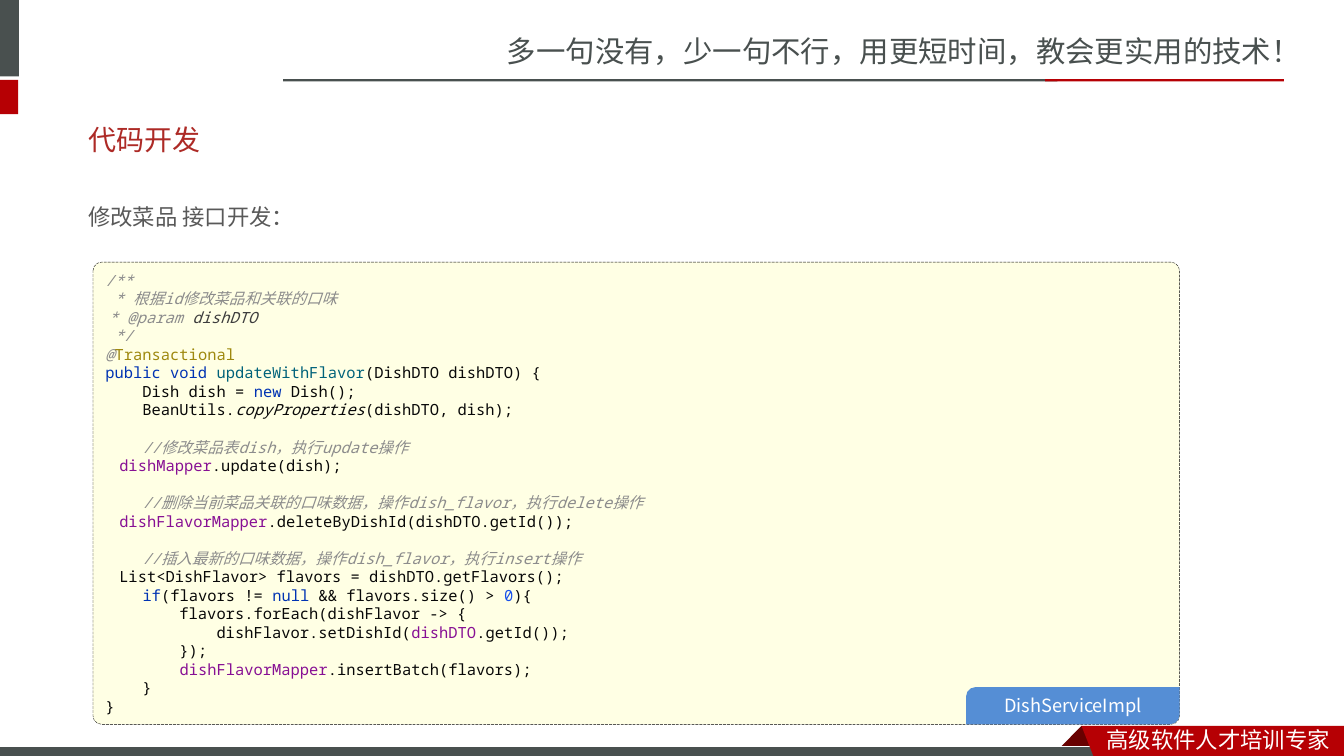
import pptx
import pptx.dml.color
import pptx.enum.dml
import pptx.enum.shapes
import pptx.enum.text
import pptx.oxml
import pptx.oxml.ns
import pptx.util

Pt = pptx.util.Pt
SHAPE = pptx.enum.shapes.MSO_SHAPE
ANCHOR = pptx.enum.text.MSO_ANCHOR
ALIGN = pptx.enum.text.PP_ALIGN

COLORS = {
    "grey": "49504F", "red": "B60004", "dark_red": "680000", "white": "FFFFFF",
    "title": "AD2A26", "body": "595959", "cream": "FFFFE4", "black": "000000",
    "blue": "558ED5", "comment": "8C8C8C", "parameter": "3D3D3D",
    "annotation": "9E880D", "keyword": "0033B3", "method": "00627A",
    "plain": "080808", "field": "871094", "number": "1750EB",
}
SANS_SC = "Noto Sans CJK SC"
SANS_JP = "Noto Sans CJK JP"
MONO = "Noto Sans Mono"

# Code styles: colour, italic, Latin font
STYLES = {
    "comment": ("comment", True, MONO),
    "parameter": ("parameter", True, MONO),
    "annotation": ("annotation", False, MONO),
    "keyword": ("keyword", False, MONO),
    "method": ("method", False, MONO),
    "plain": ("plain", False, MONO),
    "static": ("plain", True, MONO),
    "field": ("field", False, MONO),
    "number": ("number", False, MONO),
    "narrow": ("comment", True, SANS_SC),
}

# Each paragraph is a list of lines, each line a list of (style, text)
DOC_COMMENT = [
    [("comment", "/**")],
    [("comment", " * 根据id修改菜品和关联的口味")],
    [("narrow", " "), ("comment", "* @param "), ("parameter", "dishDTO")],
    [("comment", " */")],
]
METHOD = [
    [("comment", "@"), ("annotation", "Transactional")],
    [("keyword", "public void "), ("method", "updateWithFlavor"),
     ("plain", "(DishDTO dishDTO) {")],
    [("plain", "    Dish dish = "), ("keyword", "new "), ("plain", "Dish();")],
    [("plain", "    BeanUtils."), ("static", "copyProperties"),
     ("plain", "(dishDTO, dish);")],
    [],
    [("plain", "    "), ("comment", "//修改菜品表dish，执行update操作")],
    [("narrow", "    "), ("field", "dishMapper"), ("plain", ".update(dish);")],
    [],
    [("plain", "    "),
     ("comment", "//删除当前菜品关联的口味数据，操作dish_flavor，执行delete操作")],
    [("narrow", "    "), ("field", "dishFlavorMapper"),
     ("plain", ".deleteByDishId(dishDTO.getId());")],
    [],
    [("plain", "    "),
     ("comment", "//插入最新的口味数据，操作dish_flavor，执行insert操作")],
    [("narrow", "    "),
     ("plain", "List<DishFlavor> flavors = dishDTO.getFlavors();")],
    [("plain", "    "), ("keyword", "if"), ("plain", "(flavors != "),
     ("keyword", "null "), ("plain", "&& flavors.size() > "),
     ("number", "0"), ("plain", "){")],
    [("plain", "        flavors.forEach(dishFlavor -> {")],
    [("plain", "            dishFlavor.setDishId("), ("field", "dishDTO"),
     ("plain", ".getId());")],
    [("plain", "        });")],
    [("plain", "        "), ("field", "dishFlavorMapper"),
     ("plain", ".insertBatch(flavors);")],
    [("plain", "    }")],
    [("plain", "}")],
]


def rgb(name):
    return pptx.dml.color.RGBColor.from_string(COLORS[name])


def add_run(paragraph, text, size=11, color="plain", font=MONO,
            asian_font=SANS_SC, italic=False):
    run = paragraph.add_run()
    run.text = text
    run.font.size = Pt(size)
    run.font.italic = italic
    run.font.name = font
    run.font.color.rgb = rgb(color)
    asian = pptx.oxml.parse_xml(
        f'<a:ea {pptx.oxml.ns.nsdecls("a")} typeface="{asian_font}"/>')
    run.font._element.find(pptx.oxml.ns.qn("a:latin")).addnext(asian)


def add_text(slide, box, text, anchor=ANCHOR.TOP, spacing=None, **font_format):
    frame = slide.shapes.add_textbox(*map(Pt, box)).text_frame
    frame.word_wrap = True
    frame.vertical_anchor = anchor
    paragraph = frame.paragraphs[0]
    paragraph.line_spacing = spacing
    add_run(paragraph, text, **font_format)


def paint(shape, fill, line=None, width=0.75):
    shape.shadow.inherit = False
    shape.fill.solid()
    shape.fill.fore_color.rgb = rgb(fill)
    if line:
        shape.line.color.rgb = rgb(line)
        shape.line.width = Pt(width)
    else:
        shape.line.fill.background()
    return shape


def add_block(slide, box, fill, kind=SHAPE.RECTANGLE, **outline):
    return paint(slide.shapes.add_shape(kind, *map(Pt, box)), fill, **outline)


def add_polygon(slide, points, fill):
    corners = [(Pt(x), Pt(y)) for x, y in points]
    builder = slide.shapes.build_freeform(*corners[0])
    builder.add_line_segments(corners[1:], close=True)
    paint(builder.convert_to_shape(), fill)


def add_code_lines(paragraph, lines):
    paragraph.alignment = ALIGN.LEFT
    paragraph.line_spacing = Pt(13.25)
    for index, line in enumerate(lines):
        if index:
            paragraph.add_line_break()
        for style, text in line:
            color, italic, font = STYLES[style]
            add_run(paragraph, text, color=color, italic=italic, font=font)


def add_code_panel(slide, box):
    panel = add_block(slide, box, "cream", SHAPE.ROUNDED_RECTANGLE,
                      line="black", width=0.25)
    panel.adjustments[0] = 0.019
    panel.line.dash_style = pptx.enum.dml.MSO_LINE.LONG_DASH
    frame = panel.text_frame
    frame.word_wrap = True
    frame.vertical_anchor = ANCHOR.MIDDLE
    add_code_lines(frame.paragraphs[0], DOC_COMMENT)
    add_code_lines(frame.add_paragraph(), METHOD)


def add_class_tag(slide, box, text):
    tag = add_block(slide, box, "blue", SHAPE.ROUND_2_DIAG_RECTANGLE)
    tag.adjustments[0] = 0.257
    tag.adjustments[1] = 0
    frame = tag.text_frame
    frame.margin_left = frame.margin_right = 0
    frame.margin_top = frame.margin_bottom = 0
    frame.vertical_anchor = ANCHOR.MIDDLE
    frame.paragraphs[0].alignment = ALIGN.CENTER
    add_run(frame.paragraphs[0], text, size=13, color="white",
            font=SANS_JP, asian_font=SANS_JP)


def main():
    presentation = pptx.Presentation()
    presentation.slide_width = Pt(960)
    presentation.slide_height = Pt(540)
    slide = presentation.slides.add_slide(presentation.slide_layouts[6])

    # Header: slogan, side marks and rule
    add_text(slide, (355, 20, 605.5, 34),
             "多一句没有，少一句不行，用更短时间，教会更实用的技术！",
             size=21, color="grey", font=SANS_SC)
    add_block(slide, (-4.5, 0, 18, 54.5), "grey")
    add_block(slide, (-4.5, 57, 17.5, 24.5), "red")
    add_block(slide, (202.3, 56.6, 553, 1.6), "grey")
    add_block(slide, (746.5, 56.6, 170.5, 1.6), "red")

    # Footer: bar and folded ribbon
    add_polygon(slide, [(772.5, 518.5), (788.5, 534.5), (788, 535),
                        (757.5, 535), (756.8, 534.5)], "dark_red")
    add_block(slide, (-0.5, 533.5, 792, 8.5), "grey", line="white")
    add_polygon(slide, [(772.5, 518.5), (960, 518.5), (960, 542.5),
                        (782, 542.5)], "red")
    add_text(slide, (783.3, 515, 176.7, 27), "高级软件人才培训专家",
             size=16, color="white", font=SANS_SC)

    # Headings
    add_text(slide, (56, 79, 842.5, 41), "代码开发", anchor=ANCHOR.MIDDLE,
             size=20, color="title", font="Calibri")
    add_text(slide, (56, 132, 869, 33), "修改菜品 接口开发：", spacing=1.5,
             size=16, color="body", font=SANS_JP, asian_font=SANS_JP)

    # Code listing
    add_code_panel(slide, (66.4, 187.2, 776.2, 330.2))
    add_class_tag(slide, (690, 490.8, 152.6, 26.6), "DishServiceImpl")

    presentation.save("out.pptx")


if __name__ == "__main__":
    main()
